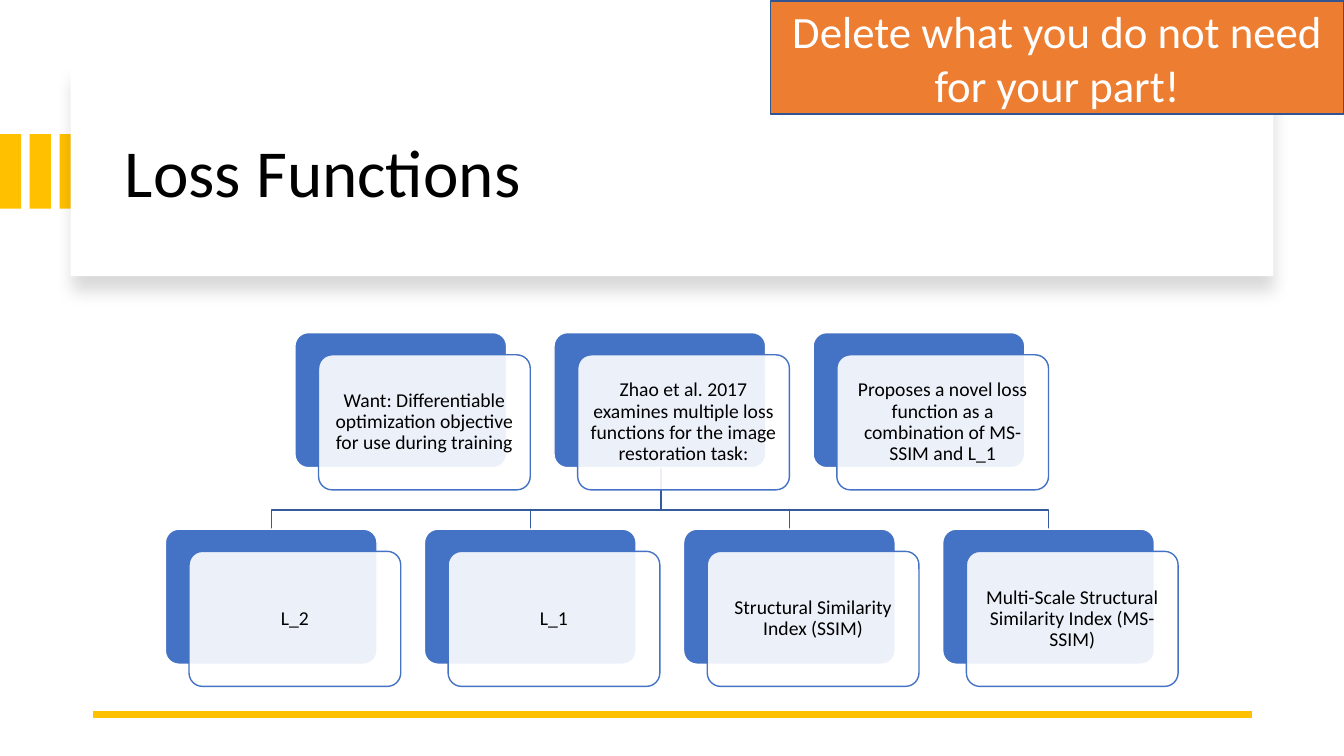
from lxml.etree import SubElement
from pptx import Presentation
from pptx.dml.color import RGBColor
from pptx.enum.shapes import MSO_CONNECTOR, MSO_SHAPE
from pptx.enum.text import MSO_ANCHOR, PP_ALIGN
from pptx.oxml.ns import qn
from pptx.util import Inches, Pt

COLUMNS, ROWS = 13.33, 7.5
UNIT = Inches(1)
FONT = "Calibri"
COLORS = {
    "gold": "FFC000", "white": "FFFFFF", "black": "000000", "blue": "4472C4",
    "branch": "365B9D", "orange": "ED7D31", "edge": "325491",
}
TOP_CARDS = [
    "Want: Differentiable optimization objective for use during training",
    "Zhao et al. 2017 examines multiple loss functions for the image restoration task:",
    "Proposes a novel loss function as a combination of MS-SSIM and L_1",
]
BOTTOM_CARDS = [
    "L_2",
    "L_1",
    "Structural Similarity Index (SSIM)",
    "Multi-Scale Structural Similarity Index (MS-SSIM)",
]
PITCH, ROW_PITCH = 2.57, 1.95
CARD_WIDTH, CARD_HEIGHT = 2.1, 1.34
SHIFT_X, SHIFT_Y = 0.235, 0.22


def grid(*lengths):
    """Turn grid columns and rows into slide lengths."""
    return [round(length * UNIT) for length in lengths]


def color(name):
    """Look up a named colour."""
    return RGBColor.from_string(COLORS[name])


def set_line(shape, name, width):
    """Give a shape or connector a solid line."""
    shape.line.color.rgb = color(name)
    shape.line.width = Pt(width)


def add_block(page, box, fill, line=None, kind=MSO_SHAPE.RECTANGLE):
    """Add a filled shape without a shadow."""
    shape = page.shapes.add_shape(kind, *grid(*box))
    shape.shadow.inherit = False
    shape.fill.solid()
    shape.fill.fore_color.rgb = color(fill)
    if line:
        set_line(shape, line, 1)
    else:
        shape.line.fill.background()
    return shape


def write(shape, text, size, name, align, spacing=1.0):
    """Set vertically centred, wrapped text in a shape."""
    frame = shape.text_frame
    frame.word_wrap = True
    frame.vertical_anchor = MSO_ANCHOR.MIDDLE
    frame.text = text
    para = frame.paragraphs[0]
    para.alignment = align
    para.line_spacing = spacing
    font = para.runs[0].font
    font.size, font.name = Pt(size), FONT
    font.color.rgb = color(name)


def add_alpha(fill_color, percent):
    """Set the opacity of a colour element."""
    SubElement(fill_color, qn("a:alpha"), val=str(percent * 1000))


def add_soft_shadow(shape):
    """Cast a faint shadow straight down."""
    effects = shape.element.spPr.find(qn("a:effectLst"))
    shadow = SubElement(effects, qn("a:outerShdw"), blurRad=str(Pt(11)),
                        dist=str(Pt(10)), dir="5400000", algn="t", rotWithShape="0")
    add_alpha(SubElement(shadow, qn("a:srgbClr"), val=COLORS["black"]), 15)


def add_header(page, left, top, width, height):
    """Add the gold bars and the raised title panel."""
    for index in range(3):
        add_block(page, (index * 0.295, top + 0.66, 0.21, 0.74), "gold")
    add_soft_shadow(add_block(page, (left, top, width, height), "white"))
    title = page.shapes.add_textbox(
        *grid(left + 0.44, top + 0.22, width - 0.8, height - 0.37))
    write(title, "Loss Functions", 48, "black", PP_ALIGN.LEFT, 0.9)


def add_rule(page, left, top, width):
    """Add the gold rule at the foot."""
    rule = page.shapes.add_connector(
        MSO_CONNECTOR.STRAIGHT, *grid(left + width, top, left, top))
    set_line(rule, "gold", 4.5)
    SubElement(rule.element.spPr, qn("a:effectLst"))


def add_branch(page, start_x, start_y, end_x, end_y):
    """Add an elbow line from a parent card to a child card."""
    bend = end_y - 0.19
    points = [(start_x, start_y), (start_x, bend), (end_x, bend), (end_x, end_y)]
    first, *rest = [grid(*point) for point in points]
    builder = page.shapes.build_freeform(*first)
    builder.add_line_segments(rest, close=False)
    branch = builder.convert_to_shape()
    branch.shadow.inherit = False
    branch.fill.background()
    set_line(branch, "branch", 1)


def add_card(page, left, top, text):
    """Add a blue card with a translucent text card over it."""
    size = (CARD_WIDTH, CARD_HEIGHT)
    back = add_block(page, (left, top, *size), "blue", "white",
                     MSO_SHAPE.ROUNDED_RECTANGLE)
    front = add_block(page, (left + SHIFT_X, top + SHIFT_Y, *size), "white", "blue",
                      MSO_SHAPE.ROUNDED_RECTANGLE)
    for card in (back, front):
        card.adjustments[0] = 0.1
    add_alpha(front.element.spPr.find(qn("a:solidFill"))[0], 90)
    frame = front.text_frame
    frame.margin_left = frame.margin_right = Inches(0.06)
    frame.margin_top = frame.margin_bottom = Inches(0.06)
    write(front, text, 14, "black", PP_ALIGN.CENTER, 0.9)


def add_tree(page, left, top):
    """Add two rows of cards, the middle upper one branching to the lower row."""
    lower = top + ROW_PITCH
    center = left + CARD_WIDTH / 2
    for index in reversed(range(len(BOTTOM_CARDS))):
        add_branch(page, center + 1.5 * PITCH + 0.01, top + CARD_HEIGHT,
                   center + index * PITCH, lower)
    for row_left, row_top, texts in (
        (left + PITCH / 2, top, TOP_CARDS),
        (left, lower, BOTTOM_CARDS),
    ):
        for index, text in enumerate(texts):
            add_card(page, row_left + index * PITCH, row_top, text)


def add_notice(page, left, top, width, height):
    """Add the orange notice in the corner."""
    notice = add_block(page, (left, top, width, height), "orange", "edge")
    write(notice, "Delete what you do not need for your part!", 32, "white",
          PP_ALIGN.CENTER)


def main():
    """Build and save the slide."""
    deck = Presentation()
    deck.slide_width, deck.slide_height = grid(COLUMNS, ROWS)
    page = deck.slides.add_slide(deck.slide_layouts[6])
    add_header(page, 0.7, 0.67, 11.93, 2.07)
    add_rule(page, 0.92, 7.09, 11.5)
    add_tree(page, 1.64, 3.3)
    add_notice(page, 7.64, 0.01, 5.69, 1.12)
    deck.save("out.pptx")


if __name__ == "__main__":
    main()
